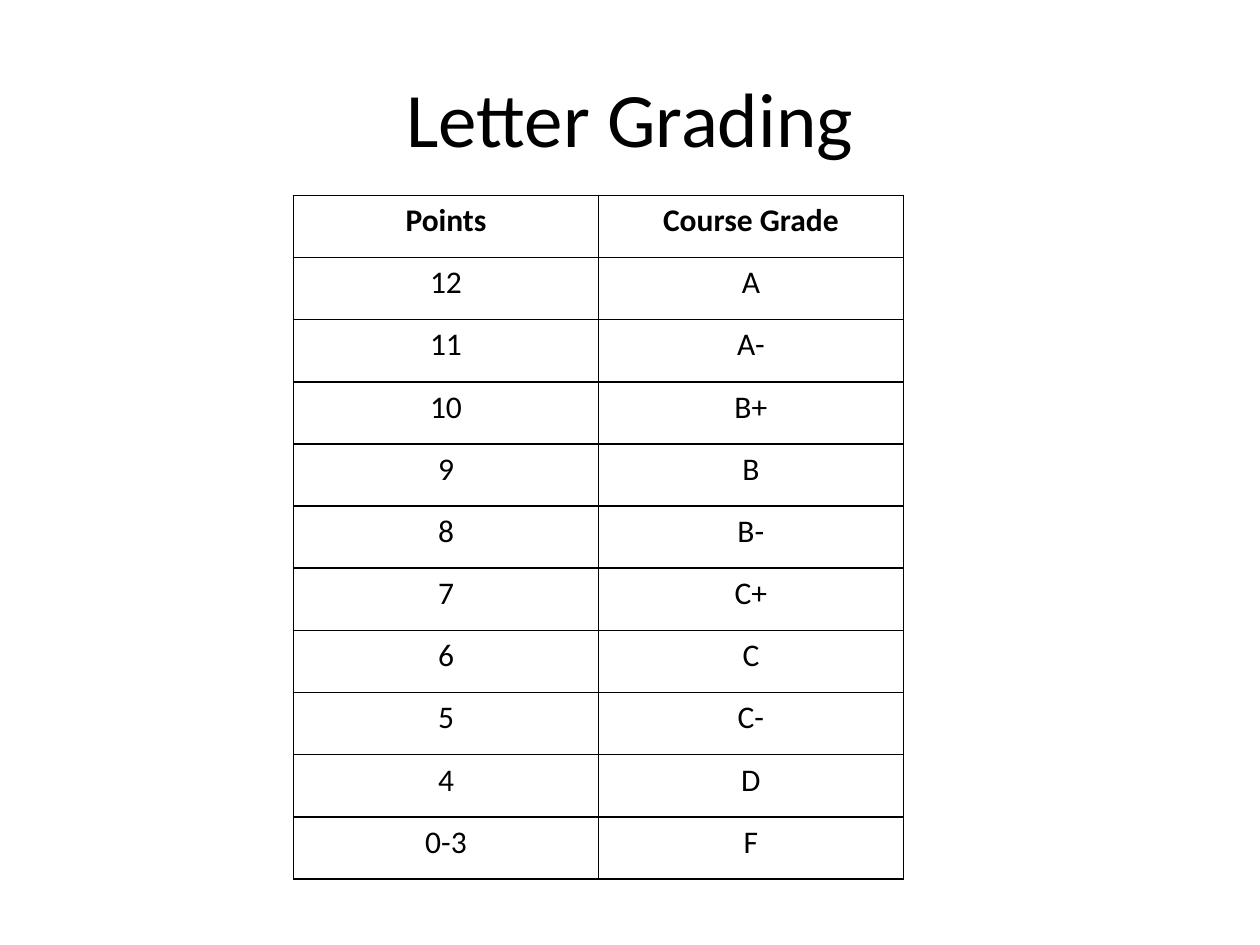
from lxml import etree
from pptx import Presentation
from pptx.dml.color import RGBColor
from pptx.enum.text import MSO_ANCHOR, PP_ALIGN
from pptx.oxml.ns import qn
from pptx.util import Inches, Pt

CENTER = PP_ALIGN.CENTER
MIDDLE = MSO_ANCHOR.MIDDLE
TITLE_ONLY = 5

GRADES = [
    ("Points", "Course Grade"),
    ("12", "A"),
    ("11", "A-"),
    ("10", "B+"),
    ("9", "B"),
    ("8", "B-"),
    ("7", "C+"),
    ("6", "C"),
    ("5", "C-"),
    ("4", "D"),
    ("0-3", "F"),
]


def color(hex_string):
    return RGBColor.from_string(hex_string)


class SlideBuilder:
    """Holds the style and the current slide."""

    font_name = "Calibri"
    ink = "000000"
    border_width = Pt(1)

    def __init__(self, slide):
        self.slide = slide

    def set_text(self, text_frame, text, size, bold=False):
        text_frame.text = text
        for paragraph in text_frame.paragraphs:
            paragraph.alignment = CENTER
            for run in paragraph.runs:
                run.font.name = self.font_name
                run.font.size = Pt(size)
                run.font.bold = bold
                run.font.color.rgb = color(self.ink)

    def title(self, text, left, top, width, height):
        shape = self.slide.shapes.title
        shape.left, shape.top = Inches(left), Inches(top)
        shape.width, shape.height = Inches(width), Inches(height)
        shape.text_frame.vertical_anchor = MIDDLE
        self.set_text(shape.text_frame, text, 44)

    def border(self, cell):
        properties = cell._tc.get_or_add_tcPr()
        for position, side in enumerate(("a:lnL", "a:lnR", "a:lnT", "a:lnB")):
            line = etree.Element(qn(side), w=str(self.border_width))
            fill = etree.SubElement(line, qn("a:solidFill"))
            etree.SubElement(fill, qn("a:srgbClr"), val=self.ink)
            properties.insert(position, line)

    def table(self, rows, left, top, width, height, size):
        table = self.slide.shapes.add_table(
            len(rows), len(rows[0]),
            Inches(left), Inches(top), Inches(width), Inches(height),
        ).table
        table.horz_banding = False
        for row_index, row in enumerate(rows):
            for column_index, text in enumerate(row):
                cell = table.cell(row_index, column_index)
                cell.fill.background()
                self.border(cell)
                self.set_text(cell.text_frame, text, size, bold=row_index == 0)


def main():
    presentation = Presentation()
    presentation.slide_width = Inches(10)
    presentation.slide_height = Inches(7.5)
    layout = presentation.slide_layouts[TITLE_ONLY]
    builder = SlideBuilder(presentation.slides.add_slide(layout))

    # Heading
    builder.title("Letter Grading", 0.5, 0.3, 9, 1.25)

    # Points and the grade each earns
    builder.table(GRADES, 2.33, 1.55, 4.84, 5.43, size=18)

    presentation.save("out.pptx")


if __name__ == "__main__":
    main()
